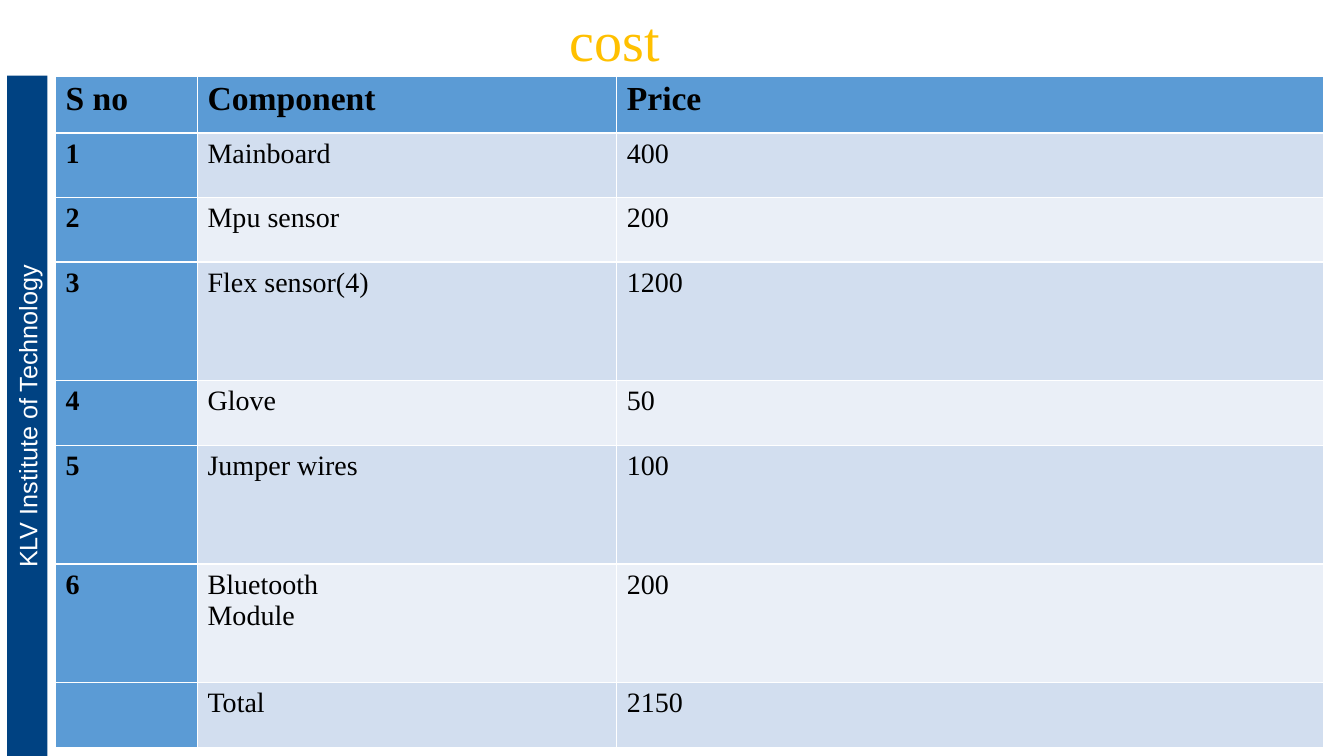
import pptx
import pptx.util
import pptx.dml.color
import pptx.enum.shapes
import pptx.enum.text
import lxml.etree
import pptx.oxml.ns

Pt = pptx.util.Pt
COLORS = {
    "navy": "004282",
    "gold": "FFC000",
    "blue": "5B9BD5",
    "band_dark": "D2DEEF",
    "band_light": "EAEFF7",
    "white": "FFFFFF",
    "black": "000000",
}


def format_text(text_frame, size, font_name, color, bold=False):
    for paragraph in text_frame.paragraphs:
        for run in paragraph.runs:
            run.font.size = Pt(size)
            run.font.name = font_name
            run.font.bold = bold
            run.font.color.rgb = pptx.dml.color.RGBColor.from_string(COLORS[color])


def add_border(cell, side, width):
    properties = cell._tc.get_or_add_tcPr()
    line = lxml.etree.Element(pptx.oxml.ns.qn(f"a:{side}"), w=str(Pt(width)))
    fill = lxml.etree.SubElement(line, pptx.oxml.ns.qn("a:solidFill"))
    lxml.etree.SubElement(fill, pptx.oxml.ns.qn("a:srgbClr"), val=COLORS["white"])
    properties.append(line)


presentation = pptx.Presentation()
presentation.slide_width = Pt(960)
presentation.slide_height = Pt(540)
slide = presentation.slides.add_slide(presentation.slide_layouts[5])

sidebar = slide.shapes.add_shape(
    pptx.enum.shapes.MSO_SHAPE.RECTANGLE, Pt(-223.9), Pt(283), Pt(486.7), Pt(28.8))
sidebar.rotation = 270
sidebar.shadow.inherit = False
sidebar.fill.solid()
sidebar.fill.fore_color.rgb = pptx.dml.color.RGBColor.from_string(COLORS["navy"])
sidebar.line.fill.background()
sidebar.text_frame.text = "KLV Institute of Technology"
sidebar.text_frame.paragraphs[0].alignment = pptx.enum.text.PP_ALIGN.CENTER
format_text(sidebar.text_frame, 18, "Arial", "white")

title = slide.shapes.title
title.left, title.top, title.width, title.height = Pt(399.6), Pt(0), Pt(314.6), Pt(55.4)
title.text_frame.text = "cost"
title.text_frame.vertical_anchor = pptx.enum.text.MSO_ANCHOR.TOP
title.text_frame.paragraphs[0].alignment = pptx.enum.text.PP_ALIGN.LEFT
format_text(title.text_frame, 40, "Times New Roman", "gold")

cost_rows = [
    ("S no", "Component", "Price"),
    ("1", "Mainboard", "400"),
    ("2", "Mpu sensor", "200"),
    ("3", "Flex sensor(4)", "1200"),
    ("4", "Glove", "50"),
    ("5", "Jumper wires", "100"),
    ("6", "Bluetooth\nModule", "200"),
    ("", "Total", "2150"),
]
column_widths = [101.5, 299.5, 504.7]
row_heights = [41, 46.1, 46.1, 84.8, 46.1, 84.8, 84.8, 46.1]

table = slide.shapes.add_table(
    len(cost_rows), len(column_widths), Pt(39.6), Pt(54),
    Pt(sum(column_widths)), Pt(sum(row_heights))).table
table.first_col = True
for column, width in zip(table.columns, column_widths):
    column.width = Pt(width)
for row, height in zip(table.rows, row_heights):
    row.height = Pt(height)

for row_index, values in enumerate(cost_rows):
    is_header = row_index == 0
    for column_index, value in enumerate(values):
        cell = table.cell(row_index, column_index)
        is_heading = is_header or column_index == 0
        for side in ("lnL", "lnR", "lnT", "lnB"):
            add_border(cell, side, 3 if is_header and side == "lnT" else 1)
        band = "band_dark" if row_index % 2 else "band_light"
        cell.fill.solid()
        cell.fill.fore_color.rgb = pptx.dml.color.RGBColor.from_string(
            COLORS["blue" if is_heading else band])
        cell.text_frame.text = value
        format_text(cell.text_frame, 24 if is_header else 20,
                    "Times New Roman", "black", is_heading)

presentation.save("out.pptx")
